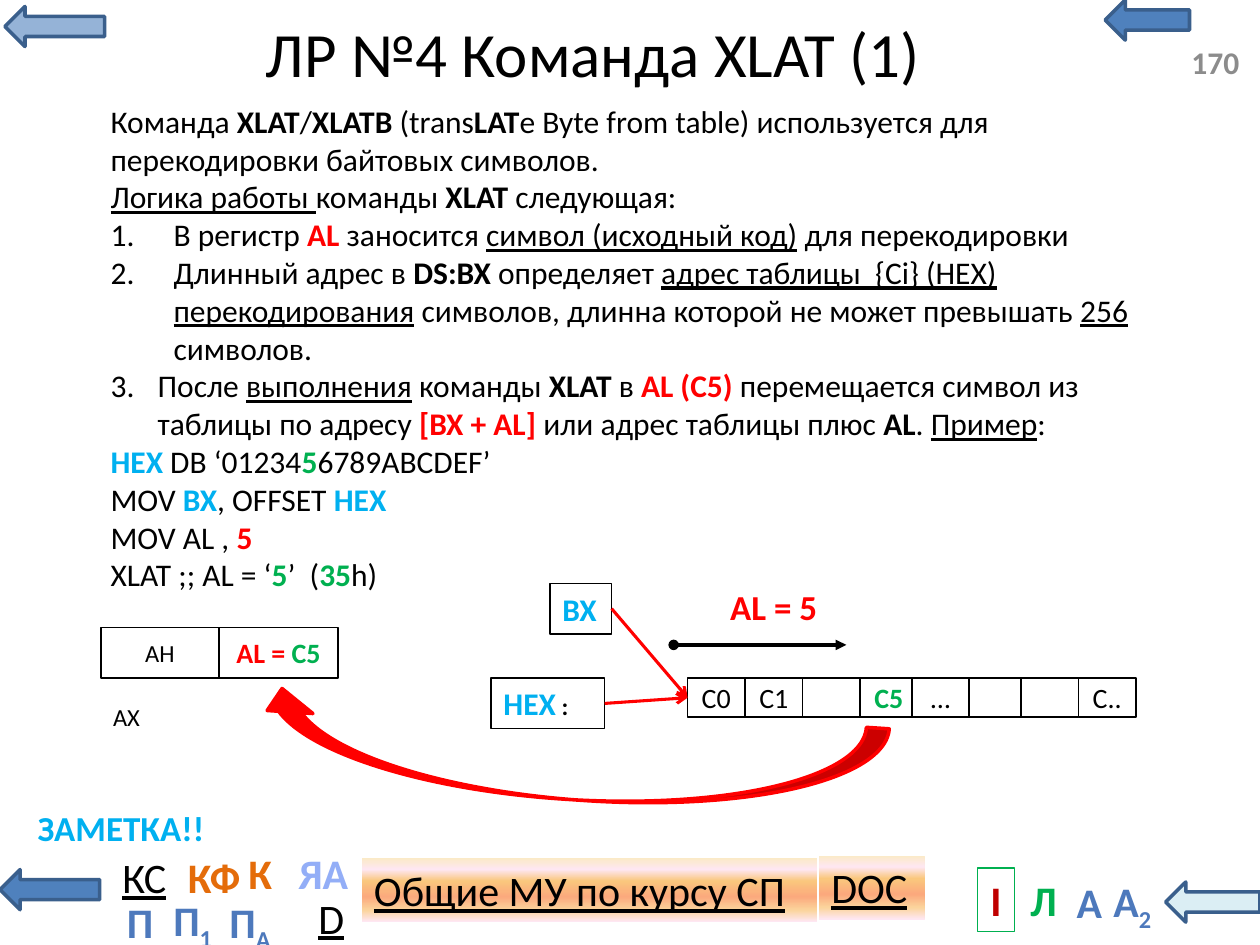
from lxml import etree
from pptx import Presentation
from pptx.dml.color import RGBColor
from pptx.enum.shapes import MSO_CONNECTOR, MSO_SHAPE
from pptx.enum.text import MSO_ANCHOR, PP_ALIGN
from pptx.oxml.ns import qn
from pptx.util import Cm, Pt

COLORS = {
    "black": "000000", "white": "FFFFFF", "red": "FF0000", "green": "00B050",
    "cyan": "00B0F0", "gray": "8C8C8C", "orange": "E46C0A", "crimson": "C00000",
    "blue": "4D79BC", "lilac": "93AEF7", "arrow": "4F81BD", "arrow_line": "3A5F8C",
    "arrow_light": "95B3D7", "arrow_pale": "DBEEF4",
}
BANNER_STOPS = [(0, "FBEAC7"), (18, "FEE7F2"), (36, "FAC77D"),
                (61, "FBA97D"), (82, "FBD49C"), (100, "FEE7F2")]


def rgb(name):
    return RGBColor.from_string(COLORS[name])


def add_sub(parent, tag, **attributes):
    return etree.SubElement(parent, qn(tag), attributes)


def write(shape, paragraphs, size=18, style="", align=PP_ALIGN.LEFT,
          anchor=MSO_ANCHOR.TOP, wrap=True):
    """Fill a shape; a paragraph is a list of strings or (string, style words),
    or a pair of a hanging indent in cm and such a list for a numbered item."""
    frame = shape.text_frame
    frame.word_wrap, frame.vertical_anchor = wrap, anchor
    for index, runs in enumerate(paragraphs):
        paragraph = frame.add_paragraph() if index else frame.paragraphs[0]
        paragraph.alignment = align
        if isinstance(runs, tuple):
            indent, runs = runs
            props = paragraph._p.get_or_add_pPr()
            props.set("marL", str(Cm(indent)))
            props.set("indent", str(-Cm(indent)))
            add_sub(props, "a:buFont", typeface="+mj-lt")
            add_sub(props, "a:buAutoNum", type="arabicPeriod")
        for item in runs:
            text, words = (item, style) if isinstance(item, str) else item
            words = words.split()
            run = paragraph.add_run()
            run.text = text
            run.font.name, run.font.size = "Calibri", Pt(size)
            run.font.bold, run.font.underline = "b" in words, "u" in words
            color = next((word for word in words if word in COLORS), "black")
            run.font.color.rgb = rgb(color)
            if "sub" in words:
                run._r.get_or_add_rPr().set("baseline", "-25000")


def add_label(slide, box, paragraphs, **text_format):
    label = slide.shapes.add_textbox(*map(Cm, box))
    write(label, paragraphs, **text_format)
    return label


def add_block(slide, kind, box, fill=None, line=None, weight=1):
    block = slide.shapes.add_shape(kind, *map(Cm, box))
    block.shadow.inherit = False
    if fill:
        block.fill.solid()
        block.fill.fore_color.rgb = rgb(fill)
    else:
        block.fill.background()
    if line:
        block.line.color.rgb = rgb(line)
        block.line.width = Pt(weight)
    else:
        block.line.fill.background()
    return block


def add_cell(slide, box, runs, **text_format):
    cell = add_block(slide, MSO_SHAPE.FLOWCHART_PROCESS, box, "white", "black")
    write(cell, [runs], align=PP_ALIGN.CENTER, anchor=MSO_ANCHOR.MIDDLE, **text_format)


def add_arrow(slide, start, end, color, weight, **ends):
    arrow = slide.shapes.add_connector(MSO_CONNECTOR.STRAIGHT, *map(Cm, start + end))
    arrow.line.color.rgb = rgb(color)
    arrow.line.width = Pt(weight)
    line = arrow.line._get_or_add_ln()
    for end_name, kind in ends.items():
        add_sub(line, f"a:{end_name}", type=kind)
    add_sub(arrow._element.spPr, "a:effectLst")


def draw_navigation_arrows(slide, left, top, width, height):
    for x, y, w, fill in [(22.28, 0, 1.7, "arrow"), (0, 17.53, 2.01, "arrow"),
                          (0.1, 0.13, 2.01, "arrow_light"),
                          (width - 1.9, height - 1.27, 1.9, "arrow_pale")]:
        add_block(slide, MSO_SHAPE.LEFT_ARROW, (left + x, top + y, w, 0.81),
                  fill, "arrow_line", 2)


def draw_menu(slide, left, top):
    # Banner links
    for text, x, y, w in [("Общие МУ по курсу СП", 7.29, 0.33, 9.19),
                          ("DOC", 16.51, 0.28, 2.13)]:
        banner = add_block(slide, MSO_SHAPE.RECTANGLE, (left + x, top + y, w, 1.28))
        banner.fill.gradient()
        banner.fill.gradient_angle = 270
        stops = banner._element.spPr.find(qn("a:gradFill")).find(qn("a:gsLst"))
        for stop in list(stops):
            stops.remove(stop)
        for position, color in BANNER_STOPS:
            stop = add_sub(stops, "a:gs", pos=str(position * 1000))
            add_sub(stop, "a:srgbClr", val=color)
        write(banner, [[text]], size=24, style="u")
    # Letter links: letters, subscript, style, offset and width
    for text, subscript, style, x, y, w in [
            ("А", "", "b blue", 21.44, 0.58, 1.04), ("К", "", "b orange", 4.75, 0, 0.99),
            ("D", "", "u", 6.17, 0.89, 0.99), ("I", "", "b crimson", 19.71, 0.53, 0.74),
            ("Л", "", "b green", 20.52, 0.53, 1.04), ("А", "2", "b blue", 22.15, 0.56, 1.35),
            ("ЯА", "", "b lilac", 5.72, 0, 1.6), ("П", "", "b blue", 2.31, 0.97, 0.84),
            ("П", "1", "b blue", 3.2, 0.94, 1.37), ("КС", "", "u", 2.11, 0.08, 1.6),
            ("КФ", "", "b orange", 3.53, 0.08, 1.57), ("П", "А", "b blue", 4.34, 0.97, 1.4)]:
        runs = [(text, style)] + ([(subscript, style + " sub")] if subscript else [])
        letter = add_label(slide, (left + x, top + y, w, 1.28), [runs], size=24,
                           align=PP_ALIGN.CENTER, wrap=len(text + subscript) == 1)
        if text == "I":
            letter.line.color.rgb = rgb("green")
            letter.line.width = Pt(0.75)


def draw_heading(slide, left, top):
    add_label(slide, (left, top, 17.2, 1.96), [["ЛР №4 Команда XLAT (1) "]], size=36,
              align=PP_ALIGN.CENTER, anchor=MSO_ANCHOR.MIDDLE)
    add_label(slide, (left + 20.27, top + 0.66, 1.63, 1.02), [["170"]], style="b gray",
              anchor=MSO_ANCHOR.MIDDLE)


def draw_explanation(slide, *box):
    add_label(slide, box, [
        ["Команда ", ("XLAT", "b"), "/", ("XLATB", "b"), " (trans", ("LAT", "b"),
         "e Byte from table) используется для перекодировки байтовых символов."],
        [("Логика работы ", "u"), "команды ", ("XLAT ", "b"), "следующая:"],
        (1.27, ["В регистр ", ("AL", "b red"), " заносится ",
                ("символ (исходный код)", "u"), " для перекодировки"]),
        (1.27, ["Длинный адрес в ", ("DS:BX ", "b"), "определяет ",
                ("адрес таблицы  {Ci} (HEX) перекодирования", "u"),
                " символов, длинна которой не может превышать ", ("256 ", "u"), "символов."]),
        (0.95, ["После ", ("выполнения", "u"), " команды ", ("XLAT ", "b"), "в ",
                ("AL (C5) ", "b red"), "перемещается символ из таблицы по адресу ",
                ("[BX + AL] ", "b red"), "или адрес таблицы плюс ", ("AL", "b"), ". ",
                ("Пример", "u"), ":"]),
        [("HEX", "b cyan"), " DB ‘01234", ("5", "b green"), "6789ABCDEF’"],
        ["MOV ", ("BX", "b cyan"), ", OFFSET ", ("HEX", "b cyan")],
        ["MOV AL , ", ("5", "b red")],
        ["XLAT ;; AL = ‘", ("5", "b green"), "’  (", ("35", "b green"), "h)"],
    ])


def draw_register(slide, left, top, width, height):
    half = width / 2
    add_label(slide, (left, top + 1.37, 1.57, 0.86), [["AX"]], size=14)
    add_cell(slide, (left, top, half, height), ["AH"], size=14)
    add_cell(slide, (left + half, top, half, height),
             [("AL = ", "b red"), ("C5", "b green")], size=16)


def draw_address_scheme(slide, left, top):
    # Recoding table
    table_left, table_top, cell_width, cell_height = left + 3.96, top + 1.99, 1.16, 0.79
    for index, text in enumerate(["C0", "C1", "", "C5", "…", "", "", "C.."]):
        overlap = 0.12 * ((index >= 4) + (index >= 6))
        x = table_left + index * cell_width - overlap
        add_cell(slide, (x, table_top, cell_width, cell_height), [text] if text else [],
                 size=16, style="b green" if text == "C5" else "")
    # Offset in the table
    add_arrow(slide, (left + 3.68, top + 1.32), (left + 7.16, top + 1.32), "black", 2,
              headEnd="oval", tailEnd="triangle")
    add_label(slide, (left + 4.57, top, 2.29, 1.12), [["AL = 5"]], size=20,
              style="b red", wrap=False)
    # Result goes back to the register
    transfer = add_block(slide, MSO_SHAPE.CURVED_DOWN_ARROW,
                         (left - 4.75, top + 2.59, 12.73, 1.85), "red", "red", 2)
    transfer.rotation = 3.8
    for flip in ("flipH", "flipV"):
        transfer._element.spPr.xfrm.set(flip, "1")
    # Pointers to the table start
    for name, suffix, x, y, width in [("HEX", " :", 0, 1.99, 2.29), ("BX", "", 1.19, 0.08, 1.24)]:
        box = (left + x, top + y, width, 1.02)
        pointer = add_block(slide, MSO_SHAPE.RECTANGLE, box, "white", "black", 0.75)
        write(pointer, [[(name, "b cyan")] + ([(suffix, "b")] if suffix else [])])
        if suffix:
            pointer.text_frame.paragraphs[0].runs[1].font.size = Pt(14)
        add_arrow(slide, (box[0] + width, box[1] + 0.51),
                  (table_left, table_top + cell_height / 2), "red", 1.75, tailEnd="arrow")


def main():
    deck = Presentation()
    deck.slide_width, deck.slide_height = Cm(25.4), Cm(19.05)
    slide = deck.slides.add_slide(deck.slide_layouts[6])
    draw_navigation_arrows(slide, 0, 0, 25.4, 19.05)
    draw_menu(slide, 0, 16.97)
    draw_heading(slide, 3.5, 0.08)
    draw_explanation(slide, 1.98, 1.93, 22.4, 10.26)
    draw_register(slide, 2.03, 12.65, 4.78, 1.02)
    add_label(slide, (0.51, 16.13, 3.99, 1.12), [["ЗАМЕТКА!!"]], size=20, style="b cyan")
    draw_address_scheme(slide, 9.9, 11.68)
    deck.save("out.pptx")


if __name__ == "__main__":
    main()
